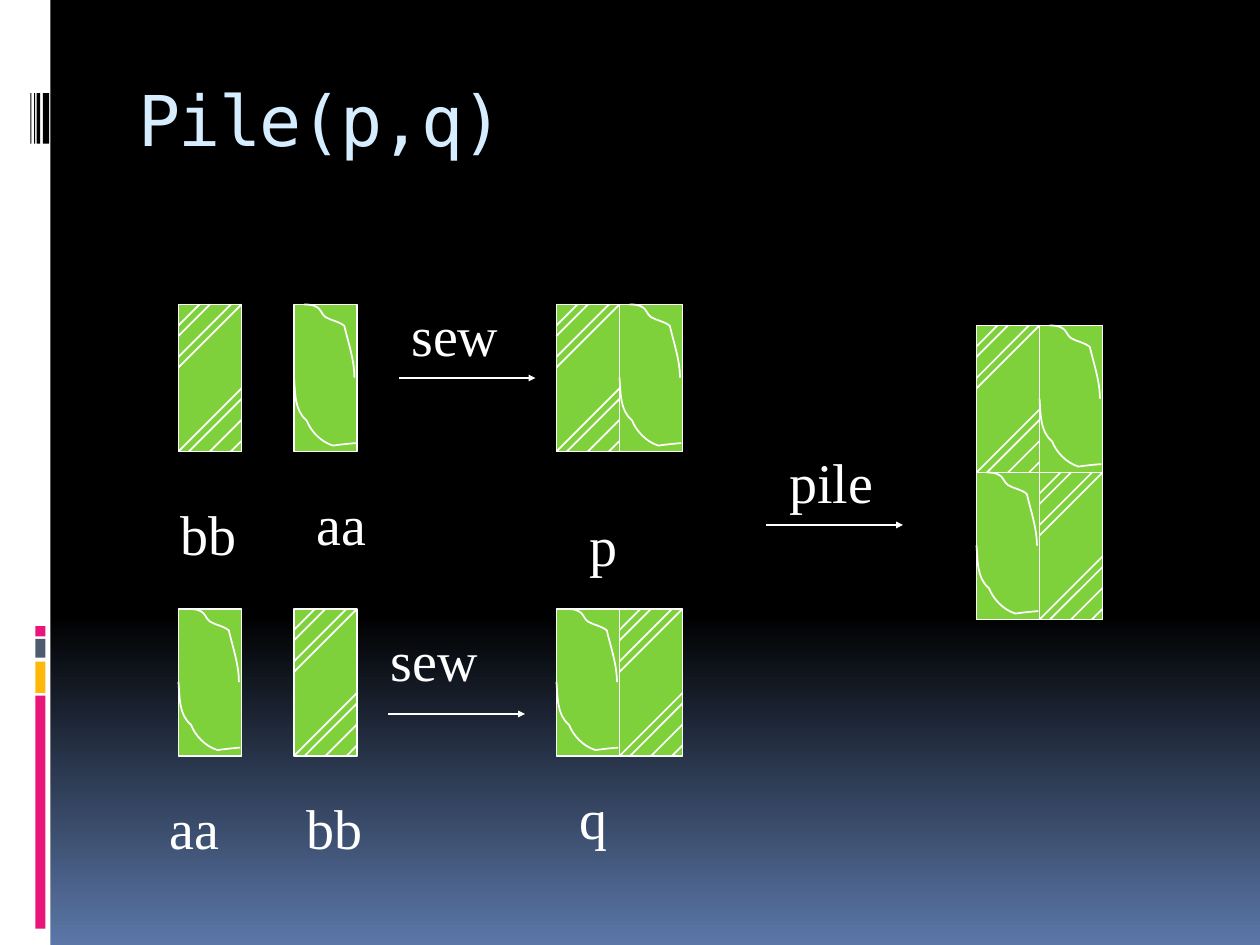
from copy import deepcopy

from lxml import etree
from pptx import Presentation
from pptx.dml.color import RGBColor
from pptx.enum.shapes import MSO_CONNECTOR, MSO_SHAPE
from pptx.enum.text import MSO_ANCHOR, PP_ALIGN
from pptx.oxml.ns import qn
from pptx.util import Inches, Pt

RECT = MSO_SHAPE.RECTANGLE
LINE = MSO_CONNECTOR.STRAIGHT
TOP = MSO_ANCHOR.TOP
LEFT = PP_ALIGN.LEFT

COLORS = {
    "white": "FFFFFF", "black": "000000", "pink": "EA157A", "gold": "FEB80A",
    "slate": "4E5B6F", "green": "7FD13B", "pale": "D6ECFF", "blue": "5B77A8",
}

UNIT = 1 / 12
WIDE, HIGH = 6, 14

BARS = [
    (0, 0, 0.4, 7.5, "white"),
    (0.28, 5.52, 0.08, 1.85, "pink"),
    (0.28, 5.25, 0.08, 0.25, "gold"),
    (0.28, 5.07, 0.08, 0.15, "slate"),
    (0.28, 4.97, 0.08, 0.08, "pink"),
    (0.34, 0.74, 0.05, 0.4, "black"),
    (0.29, 0.74, 0.03, 0.4, "black"),
    (0.27, 0.74, 0.01, 0.4, "black"),
    (0.24, 0.74, 0.01, 0.4, "black"),
]

CURVES = [
    [(0.08, 0), (0.11, 0), (0.15, 0), (0.18, 0.02),
     (0.21, 0.03), (0.22, 0.08), (0.25, 0.1),
     (0.3, 0.13), (0.35, 0.13), (0.4, 0.17),
     (0.43, 0.3), (0.48, 0.44), (0.48, 0.58)],
    [(0, 0.58), (0.01, 0.69), (0, 0.84), (0.1, 0.92),
     (0.13, 1), (0.21, 1.09), (0.31, 1.12),
     (0.37, 1.11), (0.49, 1.1), (0.49, 1.1)],
]

PILES = [
    (17, 29, ["bb"]), (28, 29, ["aa"]), (53, 29, ["bb", "aa"]),
    (28, 58, ["bb"]), (17, 58, ["aa"]), (53, 58, ["aa", "bb"]),
    (93, 31, ["bb", "aa"]), (93, 45, ["aa", "bb"]),
]

ARROWS = [(38, 36), (37, 68), (73, 50)]

LABELS = [
    ("bb", 16, 47, 11), ("aa", 29, 46, 11), ("sew", 38, 28, 13),
    ("sew", 36, 59, 14), ("aa", 15, 75, 13), ("bb", 28, 75, 10),
    ("pile", 74, 42, 11), ("p", 55, 48, 10), ("q", 54, 74, 13),
]


def paint(name):
    return RGBColor.from_string(COLORS[name])


def grid(*cells):
    return [Inches(cell * UNIT) for cell in cells]


def ink(line):
    line.color.rgb = paint("white")
    line.width = Pt(1)


def write(frame, text, size, font, color, spc=None):
    frame.word_wrap = True
    frame.vertical_anchor = TOP
    frame.margin_left, frame.margin_top = Inches(0.1), Inches(0.05)
    para = frame.paragraphs[0]
    para.alignment = LEFT
    run = para.add_run()
    run.text = text
    run.font.size, run.font.name = Pt(size), font
    run.font.color.rgb = paint(color)
    if spc is not None:
        run.font._element.set("spc", str(spc))


def block(shapes, box, color, edge=False):
    shape = shapes.add_shape(RECT, *box)
    shape.shadow.inherit = False
    shape.fill.solid()
    shape.fill.fore_color.rgb = paint(color)
    if edge:
        ink(shape.line)
    else:
        shape.line.fill.background()


def stroke(shapes, *ends, arrow=False):
    link = shapes.add_connector(LINE, *grid(*ends))
    ink(link.line)
    props = link._element.spPr
    if arrow:
        etree.SubElement(props.find(qn("a:ln")), qn("a:tailEnd"),
                         type="triangle", w="sm", len="sm")
    etree.SubElement(props, qn("a:effectLst"))


def bend(shape):
    trace = shape._element.find(".//" + qn("a:path"))
    legs = trace.findall(qn("a:lnTo"))
    for i in range(0, len(legs), 3):
        arc = etree.SubElement(trace, qn("a:cubicBezTo"))
        for leg in legs[i:i + 3]:
            arc.append(leg[0])
            trace.remove(leg)


def curve(shapes, x, y, knots):
    points = [(Inches(x * UNIT + dx), Inches(y * UNIT + dy))
              for dx, dy in knots]
    pen = shapes.build_freeform(*points[0])
    pen.add_line_segments(points[1:], close=False)
    shape = pen.convert_to_shape()
    bend(shape)
    shape.shadow.inherit = False
    shape.fill.background()
    ink(shape.line)


def tile(shapes, x, y, kind):
    block(shapes, grid(x, y, WIDE, HIGH), "green", edge=True)
    if kind == "aa":
        for knots in CURVES:
            curve(shapes, x, y, knots)
        return
    for k in (2, 3, 5, 6):
        stroke(shapes, x + k, y, x, y + k)
    base = y + HIGH
    for k in (0, 1, 3, 5):
        stroke(shapes, x + k, base, x + WIDE, base - WIDE + k)


def back(slide):
    fill = slide.background.fill
    fill.gradient()
    fill.gradient_angle = 270
    stops = slide.element.find(".//" + qn("a:gsLst"))
    stops.insert(0, deepcopy(stops[0]))
    shades = [(0, "black"), (0.65, "black"), (1, "blue")]
    for stop, (place, color) in zip(fill.gradient_stops, shades):
        stop.position = place
        stop.color.rgb = paint(color)


def main():
    deck = Presentation()
    deck.slide_width, deck.slide_height = Inches(10), Inches(7.5)
    slide = deck.slides.add_slide(deck.slide_layouts[5])
    shapes = slide.shapes
    back(slide)
    for *box, color in BARS:
        block(shapes, [Inches(side) for side in box], color)
    title = shapes.title
    title.left, title.top = Inches(1), Inches(0.56)
    title.width, title.height = Inches(8.5), Inches(1)
    write(title.text_frame, "Pile(p,q)", 40, "DejaVu Sans Mono", "pale", spc=-100)
    for x, y, kinds in PILES:
        group = shapes.add_group_shape()
        for i, kind in enumerate(kinds):
            tile(group.shapes, x + i * WIDE, y, kind)
    for x, y in ARROWS:
        stroke(shapes, x, y, x + 13, y, arrow=True)
    for text, x, y, width in LABELS:
        box = shapes.add_textbox(*grid(x, y, width, 7.5))
        write(box.text_frame, text, 32, "Times New Roman", "white")
    deck.save("out.pptx")


if __name__ == "__main__":
    main()
